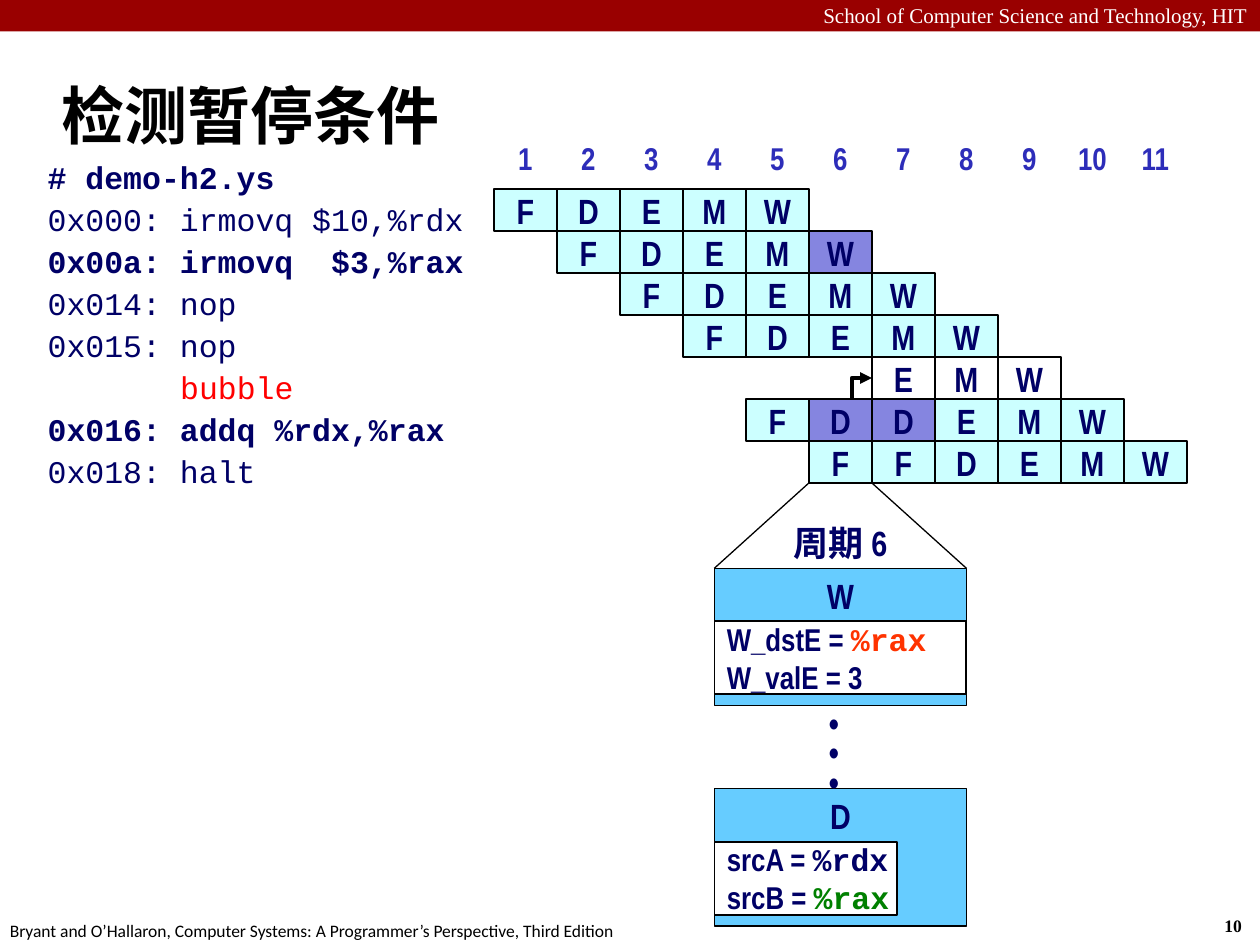
from pptx import Presentation
from pptx import util as u
from pptx.dml.color import RGBColor
from pptx.enum import shapes as sh, text as tx
from pptx.oxml.ns import qn
from lxml import etree

NAVY, CYAN, DARK, SKY = "000066", "CCFFFF", "8585E0", "66CCFF"
BLACK, WHITE = "000000", "FFFFFF"
NARROW, CODE, ROMAN = "Arial Narrow", "Courier New", "Times New Roman"
LEFT, MID, RIGHT = tx.PP_ALIGN.LEFT, tx.PP_ALIGN.CENTER, tx.PP_ALIGN.RIGHT
TOP, HALF = tx.MSO_ANCHOR.TOP, tx.MSO_ANCHOR.MIDDLE
hue = RGBColor.from_string

deck = Presentation()
deck.slide_width, deck.slide_height = u.Inches(10), u.Inches(7.5)
slide = deck.slides.add_slide(deck.slide_layouts[5])
items = slide.shapes


def style(font, size, face, color, bold):
    font.size, font.name, font.bold = u.Pt(size), face, bold
    font.color.rgb = hue(color)


def box(x, y, w, h, lines=(), size=20, face=NARROW, color=NAVY, bold=True,
        fill=None, edge=0, align=MID, anchor=HALF, wrap=False):
    at = [u.Inches(n) for n in (x, y, w, h)]
    if fill or edge:
        item = items.add_shape(sh.MSO_SHAPE.RECTANGLE, *at)
        item.shadow.inherit = False
        if fill:
            item.fill.solid()
            item.fill.fore_color.rgb = hue(fill)
        else:
            item.fill.background()
        if edge:
            item.line.color.rgb = hue(BLACK)
            item.line.width = u.Pt(edge)
        else:
            item.line.fill.background()
    else:
        item = items.add_textbox(*at)
    frame = item.text_frame
    frame.word_wrap, frame.vertical_anchor = wrap, anchor
    frame.text = "\n".join(lines)
    for para in frame.paragraphs:
        para.alignment = align
        style(para.font, size, face, color, bold)
    return item


box(0, 0, 10, 0.25, fill="990000")
box(0, -0.03, 10, 0.3, ["School of Computer Science and Technology, HIT"],
    12, ROMAN, WHITE, False, align=RIGHT, anchor=TOP, wrap=True)
box(9.62, 7.21, 0.37, 0.27, ["10"], 10, ROMAN, BLACK, align=LEFT, anchor=TOP)
box(-0.02, 7.25, 5.08, 0.27,
    ["Bryant and O’Hallaron, Computer Systems: A Programmer’s Perspective, Third Edition"],
    10, "Calibri", BLACK, False, align=LEFT, anchor=TOP)

title = items.title
title.left, title.top = u.Inches(0.39), u.Inches(0.49)
title.width, title.height = u.Inches(8.3), u.Inches(0.83)
title.text_frame.text = "检测暂停条件"
title.text_frame.vertical_anchor = HALF
head = title.text_frame.paragraphs[0]
head.alignment = LEFT
style(head.font, 36, "Calibri", BLACK, True)

COL, ROW, X, Y = 0.5, 1 / 3, 3.92, 1.5

code = [
    ("# demo-h2.ys", True),
    ("0x000: irmovq $10,%rdx", False),
    ("0x00a: irmovq  $3,%rax", True),
    ("0x014: nop", False),
    ("0x015: nop", False),
    ("bubble", False),
    ("0x016: addq %rdx,%rax", True),
    ("0x018: halt", False),
]
for i, (line, bold) in enumerate(code):
    gap = line == "bubble"
    item = box(0.28, 1.24 + i * ROW, 2.84, ROW, [line], 18, CODE,
               "FF0000" if gap else NAVY, bold, WHITE, align=LEFT)
    if gap:
        item.text_frame.margin_left = u.Inches(0.1) + 7 * u.Pt(10.8)

for i in range(11):
    box(X + i * COL, 1.09, COL, ROW, [str(i + 1)], 18, color="2D2DB9", fill=WHITE)

stages = [(0, "FDEMW"), (1, "FDEMW"), (2, "FDEMW"), (3, "FDEMW"),
          (6, "EMW"), (4, "FDDEMW"), (5, "FFDEMW")]
busy = {(1, 5), (5, 5), (5, 6)}
for row, (start, names) in enumerate(stages):
    for col, name in enumerate(names, start):
        fill = DARK if (row, col) in busy else None if row == 4 else CYAN
        box(X + col * COL, Y + row * ROW, COL, ROW, [name], fill=fill, edge=1)

bend, end = X + 5.68 * COL, X + 6 * COL
high, low = Y + 4.5 * ROW, Y + 5 * ROW
path = items.build_freeform(u.Inches(bend), u.Inches(low))
path.add_line_segments([(u.Inches(bend), u.Inches(high)),
                        (u.Inches(end), u.Inches(high))], close=False)
arrow = path.convert_to_shape()
arrow.shadow.inherit = False
arrow.fill.background()
arrow.line.color.rgb = hue(BLACK)
arrow.line.width = u.Pt(2.25)
etree.SubElement(arrow.line._get_or_add_ln(), qn("a:tailEnd"), type="triangle")

PX, PW, PY, DY = 5.67, 2, 4.51, 6.26
for col, foot in ((5, PX), (6, PX + PW)):
    ray = items.add_connector(
        sh.MSO_CONNECTOR.STRAIGHT, u.Inches(X + col * COL), u.Inches(Y + 7 * ROW),
        u.Inches(foot), u.Inches(PY))
    ray.line.color.rgb = hue(BLACK)
    ray.line.width = u.Pt(0.75)
    etree.SubElement(ray._element.spPr, qn("a:effectLst"))

box(PX, 4.09, PW, 0.44, ["周期 6"], anchor=TOP, wrap=True)
for top, name in ((PY, "W"), (DY, "D")):
    box(PX, top, PW, 1.09, [name], fill=SKY, edge=0.75, anchor=TOP)
dots = box(6.48, 5.61, 0.28, 0.81, ["•"] * 3, align=LEFT, anchor=TOP)
for para in dots.text_frame.paragraphs:
    para.line_spacing = 0.7

notes = [
    (PY, PW, [("W_dstE = ", "%rax", "FF3300"), ("W_valE = 3", "", NAVY)]),
    (DY, 1.45, [("srcA = ", "%rdx", NAVY), ("srcB = ", "%rax", "008000")]),
]
for top, wide, rows in notes:
    note = box(PX, top + 0.42, wide, 0.58, [row[0] for row in rows], 18,
               fill=WHITE, edge=1, align=LEFT)
    for para, (label, reg, color) in zip(note.text_frame.paragraphs, rows):
        if reg:
            run = para.add_run()
            run.text = reg
            style(run.font, 18, CODE, color, True)

deck.save("out.pptx")
